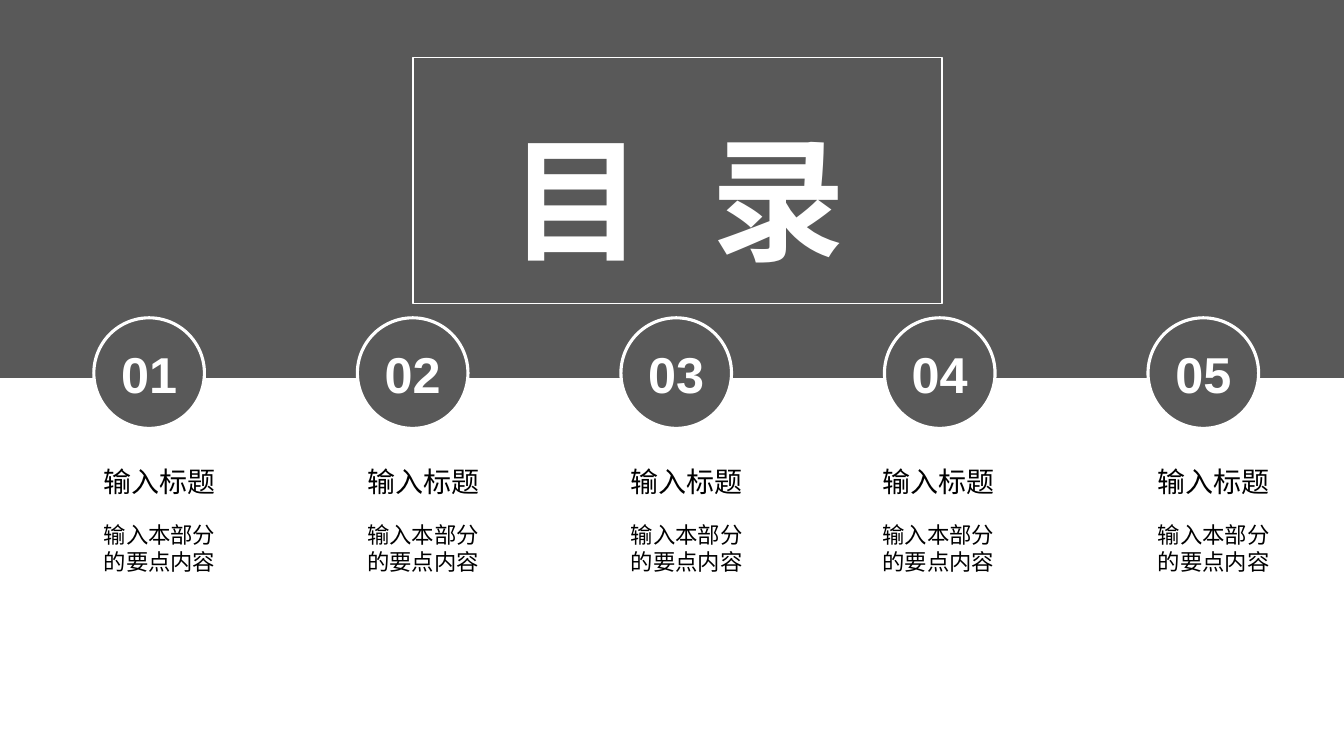
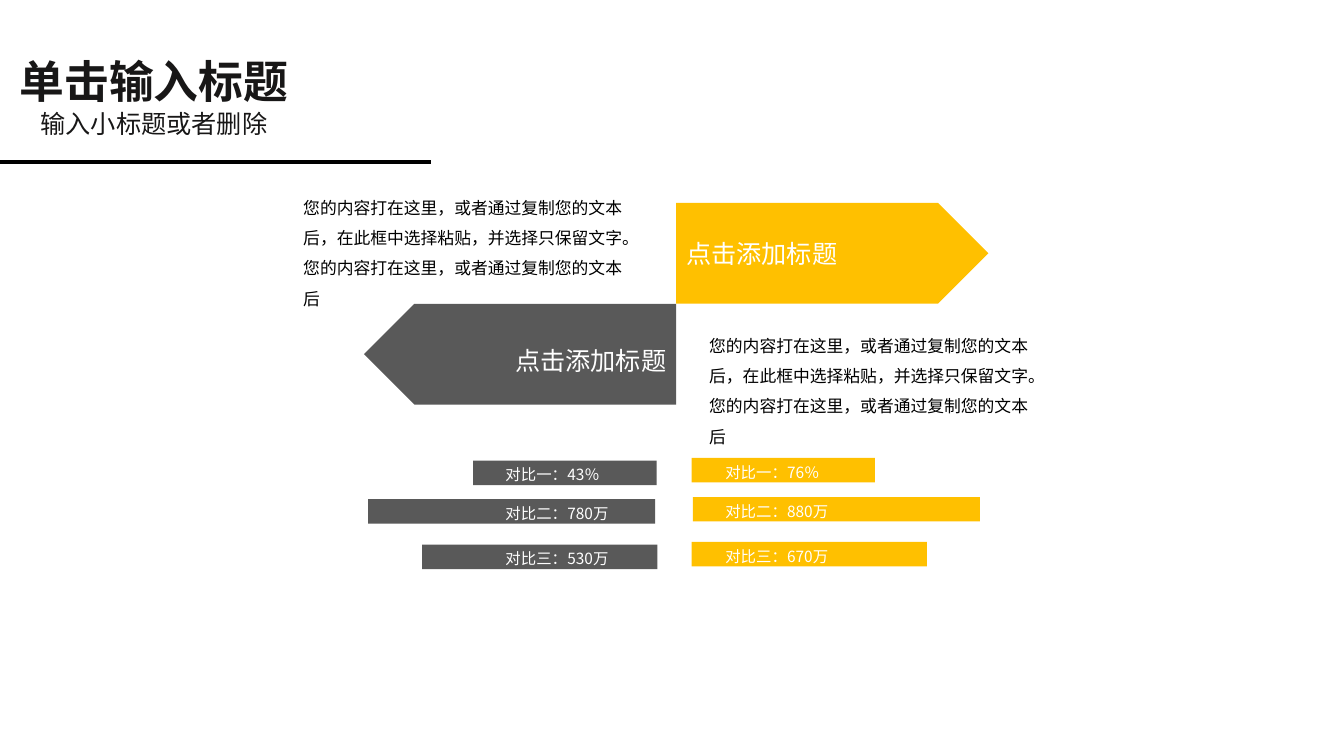
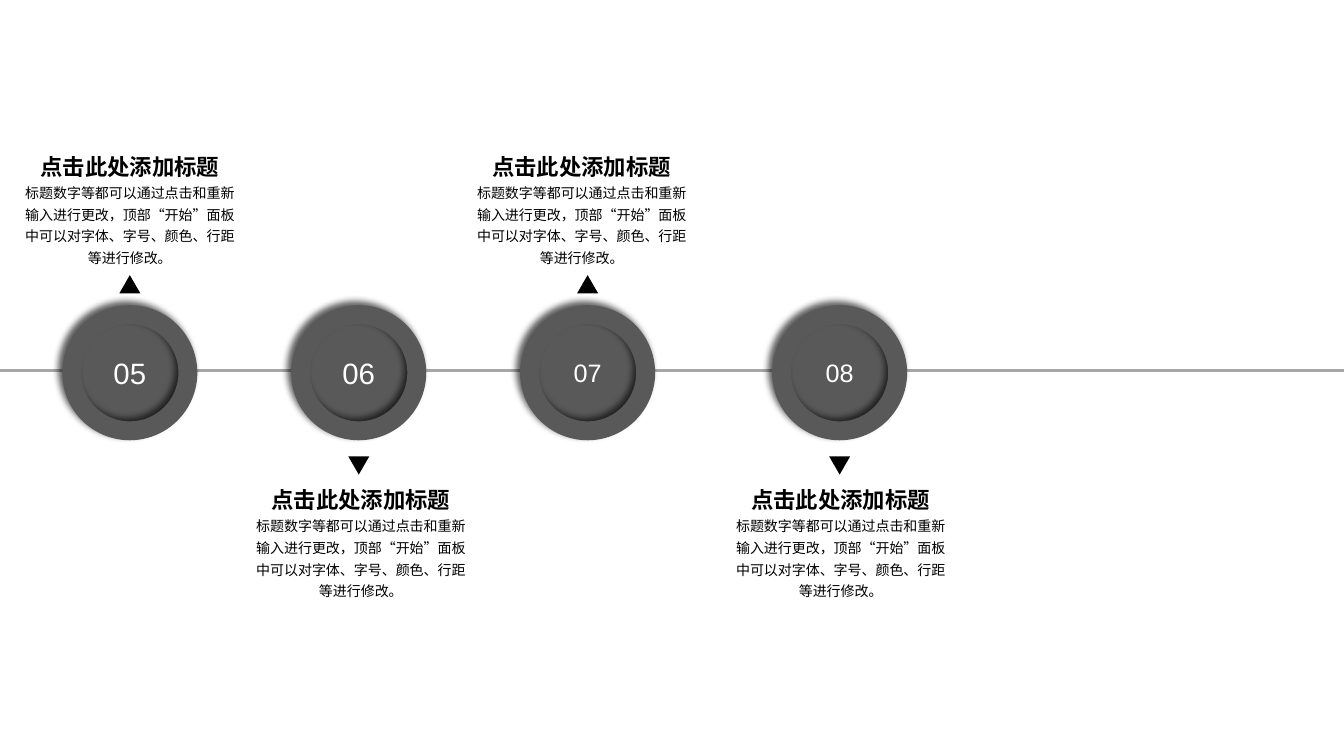
from lxml.etree import SubElement
from pptx import Presentation
from pptx.dml.color import RGBColor
from pptx.enum.shapes import MSO_CONNECTOR, MSO_SHAPE
from pptx.enum.text import MSO_ANCHOR, MSO_AUTO_SIZE, PP_ALIGN
from pptx.oxml.ns import qn
from pptx.util import Pt

# Shared look
COLORS = {
    "gray": "595959",
    "yellow": "FFC000",
    "white": "FFFFFF",
    "black": "000000",
    "title": "181717",
    "axis": "A6A6A6",
}
LATIN = "Arial"
CJK = "Noto Sans CJK SC"
LINE_FACTOR = 1.2
TITLE_ONLY, BLANK = 5, 6

COMPARE_TEXT = (
    "您的内容打在这里，或者通过复制您的文本后，在此框中选择粘贴，并选择只保留文字。"
    "您的内容打在这里，或者通过复制您的文本后"
)
STEP_TEXT = (
    "标题数字等都可以通过点击和重新输入进行更改，顶部“开始”面板中可以对字体、"
    "字号、颜色、行距等进行修改。"
)


def rgb(name):
    return RGBColor.from_string(COLORS[name])


def format_paragraph(paragraph, size, color, bold=False, align=PP_ALIGN.LEFT,
                     font=CJK, spacing=None):
    """Format a paragraph; spacing is a multiple of the normal line."""
    paragraph.alignment = align
    if spacing:
        paragraph.line_spacing = Pt(size * LINE_FACTOR * spacing)
    for run in paragraph.runs:
        run.font.size = Pt(size)
        run.font.bold = bold
        run.font.color.rgb = rgb(color)
        run.font.name = font
        SubElement(run.font._element, qn("a:ea")).set("typeface", CJK)


def add_text(slide, text, left, top, width, height, size, color="black",
             spacing=1, **style):
    box = slide.shapes.add_textbox(Pt(left), Pt(top), Pt(width), Pt(height))
    box.text_frame.word_wrap = True
    box.text_frame.text = text
    format_paragraph(box.text_frame.paragraphs[0], size, color,
                     spacing=spacing, **style)
    return box


def add_figure(slide, kind, left, top, width, height, fill=None, line=None,
               line_width=1, rotation=0):
    shape = slide.shapes.add_shape(kind, Pt(left), Pt(top), Pt(width), Pt(height))
    shape.shadow.inherit = False
    shape.rotation = rotation
    if fill:
        shape.fill.solid()
        shape.fill.fore_color.rgb = rgb(fill)
    else:
        shape.fill.background()
    if line:
        shape.line.color.rgb = rgb(line)
        shape.line.width = Pt(line_width)
    else:
        shape.line.fill.background()
    return shape


def add_number(shape, text, size, bold=False):
    frame = shape.text_frame
    frame.margin_left = frame.margin_right = 0
    frame.vertical_anchor = MSO_ANCHOR.MIDDLE
    frame.text = text
    format_paragraph(frame.paragraphs[0], size, "white", bold,
                     PP_ALIGN.CENTER, LATIN)


def add_rule(slide, top, right, color, width):
    """Draw a horizontal line from the left edge of the slide."""
    rule = slide.shapes.add_connector(
        MSO_CONNECTOR.STRAIGHT, Pt(0), Pt(top), Pt(right), Pt(top))
    rule.line.color.rgb = rgb(color)
    rule.line.width = Pt(width)
    SubElement(rule._element.spPr, qn("a:effectLst"))


def add_soft_shadow(shape):
    """Cast a blurred shadow towards the upper left."""
    effects = shape._element.spPr.find(qn("a:effectLst"))
    shadow = SubElement(effects, qn("a:outerShdw"), blurRad=str(Pt(5)),
                        dist=str(Pt(4)), dir="13500000", rotWithShape="0")
    color = SubElement(shadow, qn("a:srgbClr"), val=COLORS["black"])
    SubElement(color, qn("a:alpha"), val="64000")


def set_title(slide, text, left, top, width, height):
    """Place the title, move it to the front and return its paragraphs."""
    title = slide.shapes.title
    title.left, title.top = Pt(left), Pt(top)
    title.width, title.height = Pt(width), Pt(height)
    frame = title.text_frame
    frame.auto_size = MSO_AUTO_SIZE.NONE
    frame.vertical_anchor = MSO_ANCHOR.TOP
    frame.text = text
    slide.shapes._spTree.append(title._element)
    return frame.paragraphs


def add_contents_slide(presentation):
    slide = presentation.slides.add_slide(presentation.slide_layouts[TITLE_ONLY])

    # Dark band with framed title
    add_figure(slide, MSO_SHAPE.RECTANGLE, 0, 0, 960, 270, "gray")
    add_figure(slide, MSO_SHAPE.RECTANGLE, 295, 41, 378, 176, line="white")
    heading = set_title(slide, "目 录", 356.5, 79, 300, 124)[0]
    format_paragraph(heading, 96, "white", True, font=LATIN, spacing=1)
    heading.runs[0].font._element.set("spc", "1335")

    # Numbered sections
    first, step = 67, 188.25
    for index in range(5):
        left = first + index * step
        circle = add_figure(slide, MSO_SHAPE.OVAL, left, 227, 79, 79,
                            "gray", "white", 2.25)
        add_number(circle, f"{index + 1:02d}", 36, True)
        label_left = left - 8.5 if index == 3 else left
        add_text(slide, "输入标题", label_left, 328.5, 100, 31, 20, font=LATIN)
        add_text(slide, "输入本部分的要点内容", label_left, 368.5, 100, 46, 16,
                 font=LATIN)


def add_comparison_slide(presentation):
    slide = presentation.slides.add_slide(presentation.slide_layouts[TITLE_ONLY])

    # Title, subtitle and rule
    heading, subtitle = set_title(
        slide, "单击输入标题\n输入小标题或者删除", 0, 35, 220, 68)
    for paragraph, size, bold in ((heading, 32, True), (subtitle, 18, False)):
        paragraph.space_before = Pt(0)
        format_paragraph(paragraph, size, "title", bold, PP_ALIGN.CENTER,
                         LATIN, 1)
    add_rule(slide, 116, 308, "black", 3)

    # Opposing arrows, each with a label and a description
    arrows = (
        (483, 145, "yellow", 0, 483, 166.5, PP_ALIGN.LEFT, 209.5, 130.5),
        (260, 217, "gray", 180, 293, 243, PP_ALIGN.RIGHT, 499.5, 229),
    )
    for (left, top, color, rotation, label_left, label_top, align,
         text_left, text_top) in arrows:
        add_figure(slide, MSO_SHAPE.PENTAGON, left, top, 223, 72, color,
                   rotation=rotation)
        add_text(slide, "点击添加标题", label_left, label_top, 190, 29, 18,
                 "white", align=align)
        add_text(slide, COMPARE_TEXT, text_left, text_top, 251, 94, 12,
                 spacing=1.5)

    # Bars: left, top, width, label
    sides = (
        ("gray", 354, (
            (338, 329, 131, "对比一：43％"),
            (263, 356.5, 205, "对比二：780万"),
            (301.5, 389, 168, "对比三：530万"),
        )),
        ("yellow", 511, (
            (494, 327, 131, "对比一：76％"),
            (495, 355, 205, "对比二：880万"),
            (494, 387, 168, "对比三：670万"),
        )),
    )
    for color, label_left, bars in sides:
        for left, top, width, label in bars:
            add_figure(slide, MSO_SHAPE.RECTANGLE, left, top, width, 17.5, color)
            add_text(slide, label, label_left, top, 100, 20, 11, "white")


def add_timeline_slide(presentation):
    slide = presentation.slides.add_slide(presentation.slide_layouts[BLANK])
    add_rule(slide, 264.5, 960, "axis", 2.25)

    # Steps: number, size, centre of ring, centre of caption, caption above
    steps = (
        ("05", 21, 92.75, 92.75, True),
        ("06", 21, 256.25, 257.75, False),
        ("07", 18, 419.75, 415.5, True),
        ("08", 18, 599.75, 600.5, False),
    )
    ring, disc, middle = 96.5, 75, 266.25
    for number, size, center, caption, above in steps:
        button = add_figure(slide, MSO_SHAPE.OVAL, center - disc / 2,
                            middle - disc / 2, disc, disc, "gray")
        add_number(button, number, size)
        donut = add_figure(slide, MSO_SHAPE.DONUT, center - ring / 2,
                           middle - ring / 2, ring, ring, "gray")
        donut.adjustments[0] = 0.14
        add_soft_shadow(donut)

        # Pointer and caption
        add_figure(slide, MSO_SHAPE.ISOSCELES_TRIANGLE, center - 7.5,
                   196.5 if above else 326, 15, 13, "black",
                   rotation=0 if above else 180)
        top = 106 if above else 344
        add_text(slide, STEP_TEXT, caption - 83, top + 18.5, 166, 70, 10,
                 spacing=1.3, align=PP_ALIGN.CENTER)
        add_text(slide, "点击此处添加标题", caption - 75.5, top, 151, 27, 16,
                 bold=True, align=PP_ALIGN.CENTER)


def main():
    presentation = Presentation()
    presentation.slide_width, presentation.slide_height = Pt(960), Pt(540)
    add_contents_slide(presentation)
    add_comparison_slide(presentation)
    add_timeline_slide(presentation)
    presentation.save("out.pptx")


if __name__ == "__main__":
    main()
